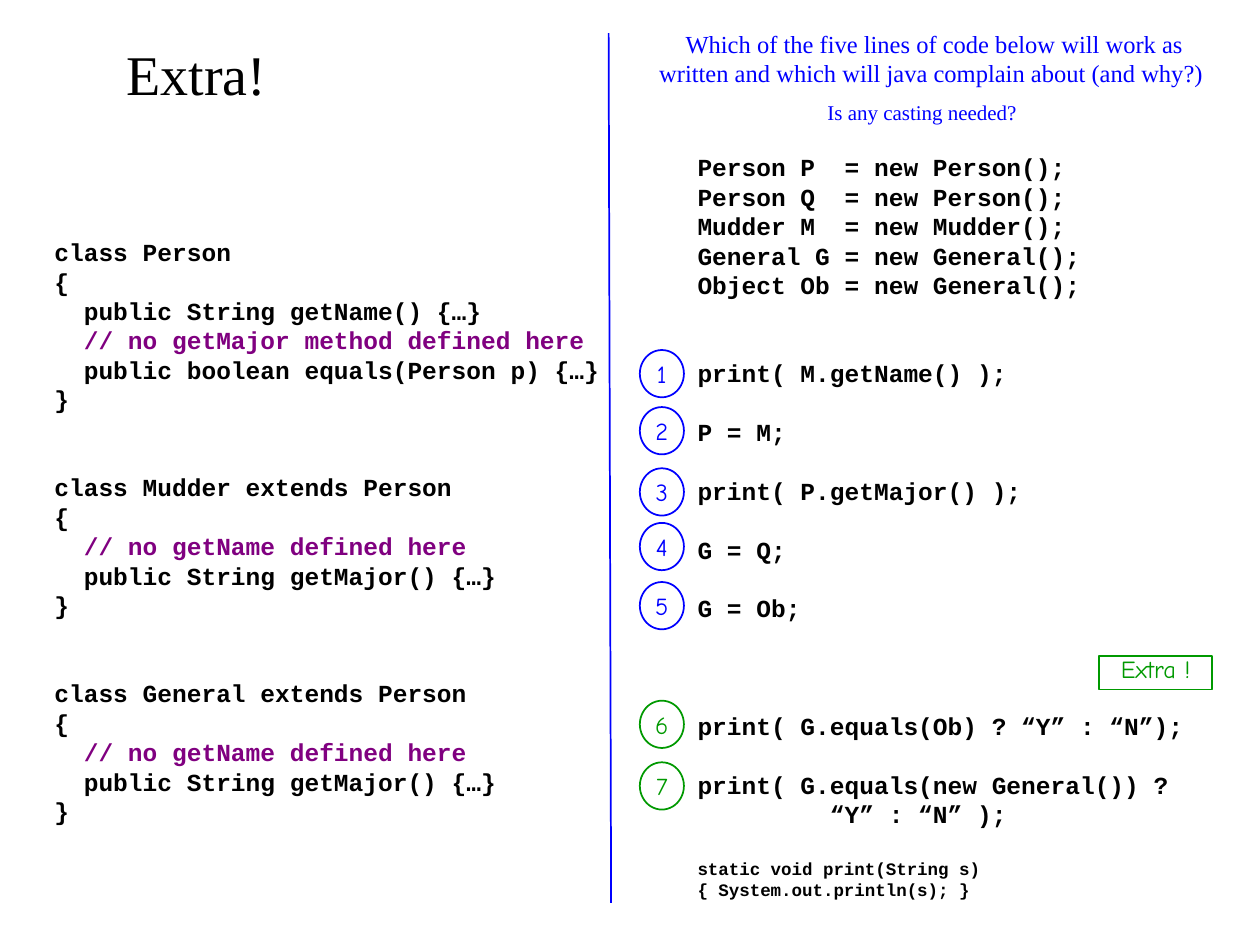
from dataclasses import dataclass

from lxml.etree import SubElement
from pptx import Presentation
from pptx.dml.color import RGBColor
from pptx.enum.shapes import MSO_CONNECTOR, MSO_SHAPE
from pptx.enum.text import MSO_ANCHOR, MSO_AUTO_SIZE, PP_ALIGN
from pptx.oxml.ns import qn
from pptx.util import Pt


@dataclass(frozen=True)
class Theme:
    black: RGBColor = RGBColor(0x00, 0x00, 0x00)
    blue: RGBColor = RGBColor(0x00, 0x00, 0xFF)
    green: RGBColor = RGBColor(0x00, 0x99, 0x00)
    purple: RGBColor = RGBColor(0x80, 0x00, 0x80)
    serif: str = "Times New Roman"
    mono: str = "Courier New"
    hand: str = "Comic Neue"
    title: int = 32
    body: int = 14
    hint: int = 12
    small: int = 10
    leading: float = 1.2


@dataclass(frozen=True)
class Block:
    """Code lines, with the number of line heights left free above them."""
    gap: int
    lines: tuple
    small: bool = False


class SlideBuilder:
    def __init__(self, page, theme):
        self.page = page
        self.theme = theme

    def add_span(self, para, text, size, font, color, bold=False, leading=None):
        para.line_spacing = Pt(round(size * (leading or self.theme.leading), 2))
        span = para.add_run()
        span.text = text
        span.font.size = Pt(size)
        span.font.name = font
        span.font.bold = bold
        span.font.color.rgb = color

    def frame(self, box, wrap=True, anchor=MSO_ANCHOR.TOP):
        frame = box.text_frame
        frame.word_wrap = wrap
        frame.vertical_anchor = anchor
        frame.auto_size = MSO_AUTO_SIZE.SHAPE_TO_FIT_TEXT if wrap else MSO_AUTO_SIZE.NONE
        frame.margin_left = frame.margin_right = Pt(7.2)
        frame.margin_top = frame.margin_bottom = Pt(3.6)
        return frame

    def text_box(self, left, top, width, height):
        return self.page.shapes.add_textbox(Pt(left), Pt(top), Pt(width), Pt(height))

    def centred(self, frame, text, size, font, color, leading=None):
        para = frame.paragraphs[0]
        para.alignment = PP_ALIGN.CENTER
        self.add_span(para, text, size, font, color, leading=leading)

    def title(self, text, left, top, width, height):
        box = self.page.shapes.title
        box.left, box.top, box.width, box.height = Pt(left), Pt(top), Pt(width), Pt(height)
        self.centred(self.frame(box), text, self.theme.title, self.theme.serif, self.theme.black)

    def question(self, text, size, *place):
        frame = self.frame(self.text_box(*place))
        self.centred(frame, text, size, self.theme.serif, self.theme.blue)

    def code(self, blocks, *place):
        theme = self.theme
        frame = self.frame(self.text_box(*place))
        para = frame.paragraphs[0]
        for number, block in enumerate(blocks):
            for row, line in enumerate(block.lines):
                if number or row:
                    para = frame.add_paragraph()
                if row == 0 and block.gap:
                    para.space_before = Pt(round(block.gap * theme.body * theme.leading, 2))
                comment = line.lstrip().startswith("//")
                self.add_span(para, line, theme.small if block.small else theme.body,
                              theme.mono, theme.purple if comment else theme.black, bold=True)

    def outline(self, kind, color, left, top, width, height):
        shape = self.page.shapes.add_shape(kind, Pt(left), Pt(top), Pt(width), Pt(height))
        shape.shadow.inherit = False
        shape.fill.background()
        shape.line.color.rgb = color
        shape.line.width = Pt(1)
        return shape

    def badge(self, number, color, left, top):
        shape = self.outline(MSO_SHAPE.OVAL, color, left, top, 25.2, 27)
        frame = self.frame(shape, wrap=False, anchor=MSO_ANCHOR.MIDDLE)
        self.centred(frame, str(number), self.theme.body, self.theme.hand, color)

    def label(self, text, color, *place):
        """Boxed label whose text sits on tightened lines."""
        frame = self.frame(self.outline(MSO_SHAPE.RECTANGLE, color, *place))
        self.centred(frame, text, self.theme.body, self.theme.hand, color,
                     leading=0.7 * self.theme.leading)

    def divider(self, x1, y1, x2, y2):
        line = self.page.shapes.add_connector(
            MSO_CONNECTOR.STRAIGHT, Pt(x1), Pt(y1), Pt(x2), Pt(y2))
        line.line.color.rgb = self.theme.blue
        line.line.width = Pt(1)
        SubElement(line._element.spPr, qn("a:effectLst"))


def subclass(name):
    return Block(2, (
        f"class {name} extends Person",
        "{",
        "  // no getName defined here",
        "  public String getMajor() {…}",
        "}",
    ))


CLASSES = (
    Block(0, (
        "class Person",
        "{",
        "  public String getName() {…}",
        "  // no getMajor method defined here",
        "  public boolean equals(Person p) {…}",
        "}",
    )),
    subclass("Mudder"),
    subclass("General"),
)

STATEMENTS = (
    Block(0, (
        "Person P  = new Person();",
        "Person Q  = new Person();",
        "Mudder M  = new Mudder();",
        "General G = new General();",
        "Object Ob = new General();",
    )),
    Block(2, ("print( M.getName() );",)),
    Block(1, ("P = M;",)),
    Block(1, ("print( P.getMajor() );",)),
    Block(1, ("G = Q;",)),
    Block(1, ("G = Ob;",)),
    Block(3, ("print( G.equals(Ob) ? “Y” : “N”);",)),
    Block(1, ("print( G.equals(new General()) ?", "         “Y” : “N” );")),
    Block(1, ("static void print(String s)", "{ System.out.println(s); }"), small=True),
)

BADGE_TOPS = (200, 232.6, 267.6, 298.8, 332.6, 400.4, 435.6)
REGULAR_BADGES = 5


def main():
    deck = Presentation()
    deck.slide_width, deck.slide_height = Pt(720), Pt(540)
    theme = Theme()
    builder = SlideBuilder(deck.slides.add_slide(deck.slide_layouts[5]), theme)

    builder.title("Extra!", 26, 18.8, 172.8, 46)
    builder.code(CLASSES, 24, 132, 348, 343.2)
    builder.code(STATEMENTS, 391.5, 83.5, 300, 435)
    builder.question("Which of the five lines of code below will work as written "
                     "and which will java complain about (and why?) ",
                     theme.body, 366, 13, 336, 41)
    builder.question("Is any casting needed?", theme.hint, 455, 53.5, 144, 21.6)
    builder.divider(347.8, 19, 349.2, 516)
    for number, top in enumerate(BADGE_TOPS, start=1):
        color = theme.blue if number <= REGULAR_BADGES else theme.green
        builder.badge(number, color, 365.6, top)
    builder.label("Extra !", theme.green, 628, 375, 64.8, 19)

    deck.save("out.pptx")


if __name__ == "__main__":
    main()
